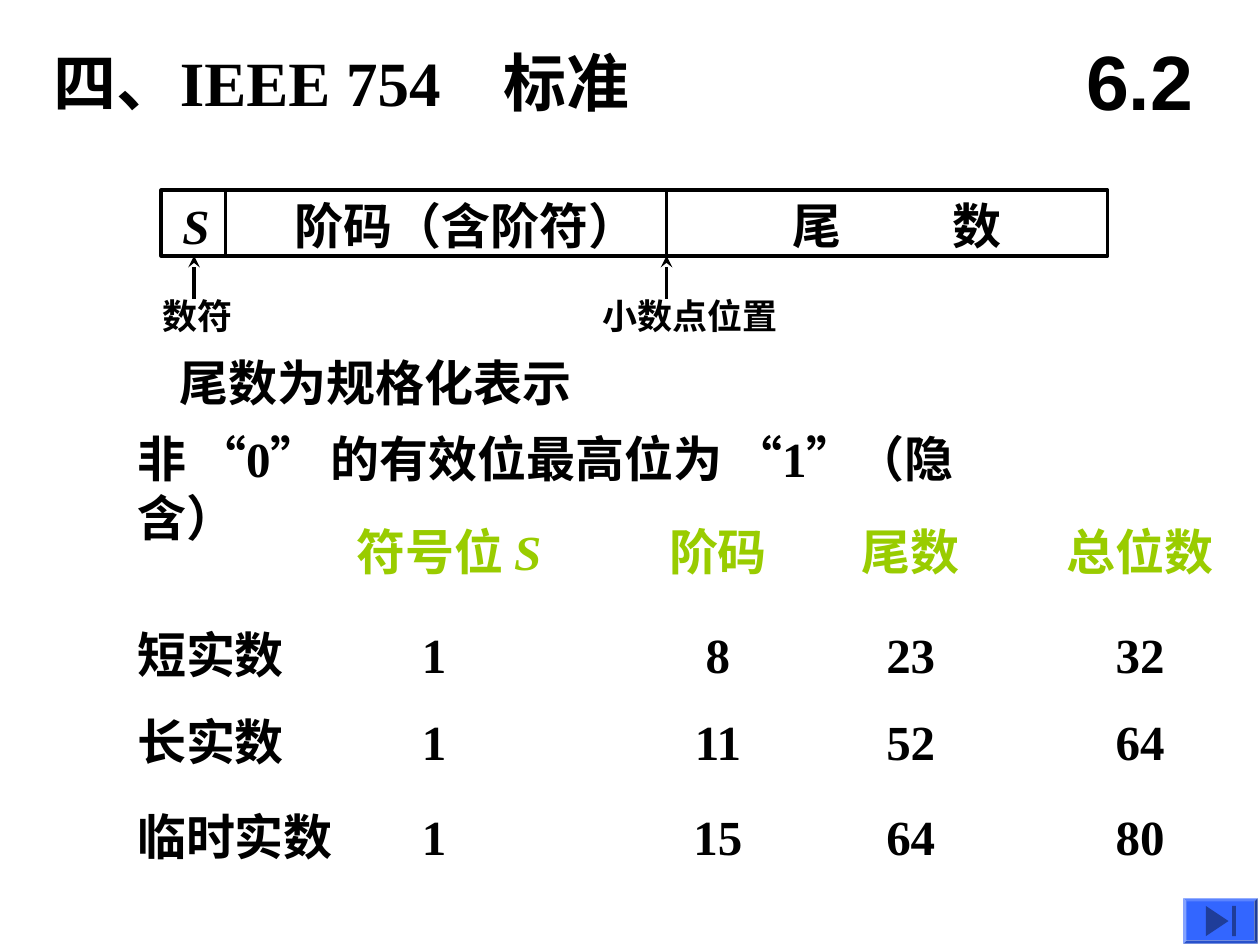
from lxml import etree
from pptx import Presentation
from pptx.dml.color import RGBColor
from pptx.enum.lang import MSO_LANGUAGE_ID as Lang
from pptx.enum.shapes import MSO_CONNECTOR as Connector, MSO_SHAPE as Shape
from pptx.enum.text import MSO_ANCHOR as Anchor, PP_ALIGN as Align
from pptx.oxml.ns import qn
from pptx.util import Inches, Pt

BLACK = RGBColor(0, 0, 0)
GREEN = RGBColor(0x99, 0xCC, 0x00)
BLUE = RGBColor(0x33, 0x66, 0xFF)
NAVY = RGBColor(0x1F, 0x3D, 0x99)

TITLE = "四、IEEE 754\t标准"
SECTION = "6.2"
FIELDS = [("S", True), ("\t阶码（含阶符）\t尾\t数", False)]
MARKERS = [("数符", 1.54, 1.19, 0.9), ("小数点位置", 5.29, 4.68, 1.75)]
NOTES = [
    ("尾数为规格化表示", 1.33, 2.75, 3.41),
    ("非 “0” 的有效位最高位为 “1”（隐含）", 0.99, 3.35, 7.41),
]
HEADER = [("符号位 ", False), ("S", True), ("\t阶码\t尾数\t总位数", False)]
FORMATS = [
    ("短实数", (1, 8, 23, 32), 4.91),
    ("长实数", (1, 11, 52, 64), 5.6),
    ("临时实数", (1, 15, 64, 80), 6.35),
]

BAR_LEFT, BAR_TOP, BAR_WIDTH, BAR_HEIGHT = 1.28, 1.51, 7.51, 0.52
BAR_BOTTOM = BAR_TOP + BAR_HEIGHT
DIVIDERS = (1.79, 5.29)
FIELD_STARTS = (2.34, 6.29, 7.56)
COLUMN_CENTERS = (5.7, 7.23, 9.05)
INSET = 0.1

prs = Presentation()
prs.slide_width, prs.slide_height = Inches(10), Inches(7.5)
slide = prs.slides.add_slide(prs.slide_layouts[6])
shapes = slide.shapes


def add_text(parts, left, top, width, height=0.57, size=28, color=BLACK,
             font="Times New Roman", stops=(), stop_align="l"):
    box = shapes.add_textbox(*map(Inches, (left, top, width, height)))
    frame = box.text_frame
    frame.word_wrap = True
    paragraph = frame.paragraphs[0]
    if stops:
        tabs = etree.SubElement(paragraph._p.get_or_add_pPr(), qn("a:tabLst"))
        for stop in stops:
            etree.SubElement(tabs, qn("a:tab"), algn=stop_align,
                             pos=str(Inches(stop - left - INSET)))
    for words, italic in parts:
        run = paragraph.add_run()
        run.text = words
        run.font.name, run.font.size = font, Pt(size)
        run.font.bold, run.font.italic = True, italic
        run.font.color.rgb = color
        run.font.language_id = Lang.SIMPLIFIED_CHINESE
    return frame


def add_line(x, start, end, arrow=False):
    line = shapes.add_connector(
        Connector.STRAIGHT, *map(Inches, (x, start, x, end)))
    line.line.color.rgb, line.line.width = BLACK, Pt(2.25)
    if arrow:
        etree.SubElement(line.line._get_or_add_ln(), qn("a:tailEnd"), type="stealth")
    etree.SubElement(line._element.spPr, qn("a:effectLst"))


def paint(shape, color):
    shape.shadow.inherit = False
    shape.fill.solid()
    shape.fill.fore_color.rgb = color
    shape.line.fill.background()


add_text([(TITLE, False)], 0.33, 0.3, 5.25, 0.7, 36, stops=(4,))
section = add_text([(SECTION, False)], 8.42, 0.17, 1.25, 0.92, 44, font="Arial")
section.vertical_anchor = Anchor.MIDDLE
section.paragraphs[0].alignment = Align.CENTER

add_text(FIELDS, 1.35, 1.5, 7, stops=FIELD_STARTS)
bar = shapes.add_shape(
    Shape.RECTANGLE, *map(Inches, (BAR_LEFT, BAR_TOP, BAR_WIDTH, BAR_HEIGHT)))
bar.shadow.inherit = False
bar.fill.background()
bar.line.color.rgb, bar.line.width = BLACK, Pt(2.25)
for x in DIVIDERS:
    add_line(x, BAR_TOP, BAR_BOTTOM)
for label, x, left, width in MARKERS:
    add_text([(label, False)], left, 2.29, width, 0.44, 20)
    add_line(x, 2.37, BAR_BOTTOM, arrow=True)

for note, left, top, width in NOTES:
    add_text([(note, False)], left, top, width)

add_text(HEADER, 2.73, 4.09, 7.1, color=GREEN,
         stops=COLUMN_CENTERS, stop_align="ctr")
for name, bits, top in FORMATS:
    add_text([(name, False)], 0.99, top, 1.9)
    add_text([("\t".join(map(str, bits)), False)], 3.25, top, 6.33,
             stops=COLUMN_CENTERS, stop_align="ctr")

button = shapes.add_shape(Shape.BEVEL, *map(Inches, (9.39, 7.13, 0.59, 0.36)))
button.adjustments[0] = 0.07
paint(button, BLUE)
pointer = shapes.build_freeform(Inches(9.75), Inches(7.31))
pointer.add_line_segments(
    [(Inches(9.57), Inches(7.43)), (Inches(9.57), Inches(7.19))], close=True)
paint(pointer.convert_to_shape(), NAVY)
paint(shapes.add_shape(
    Shape.RECTANGLE, *map(Inches, (9.78, 7.19, 0.03, 0.24))), NAVY)

prs.save("out.pptx")
